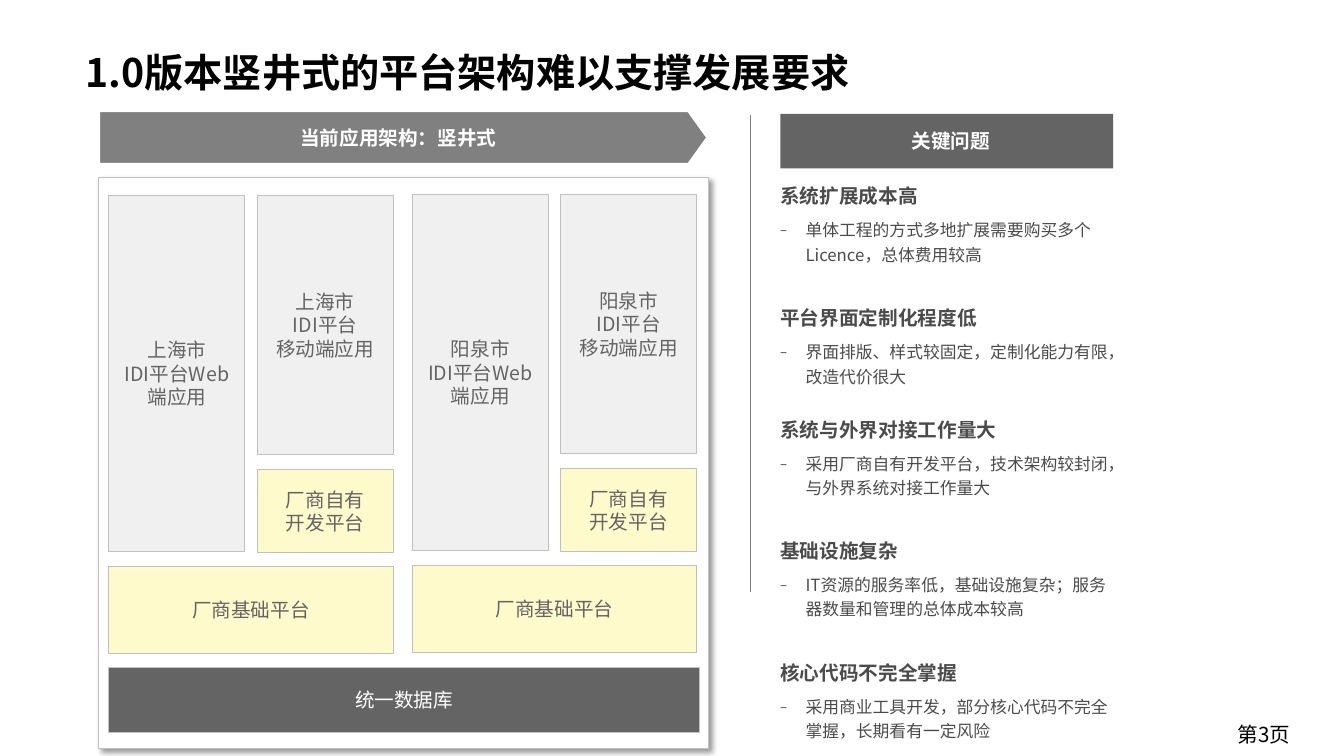
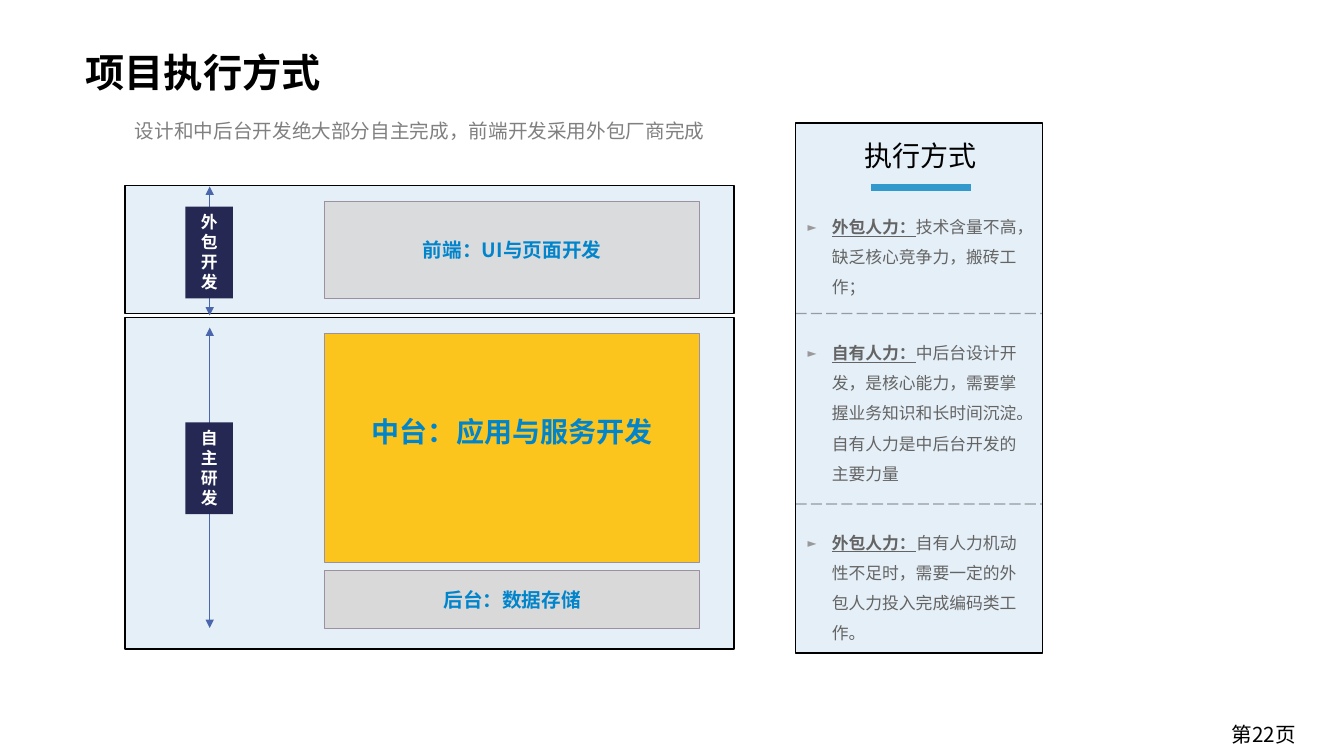
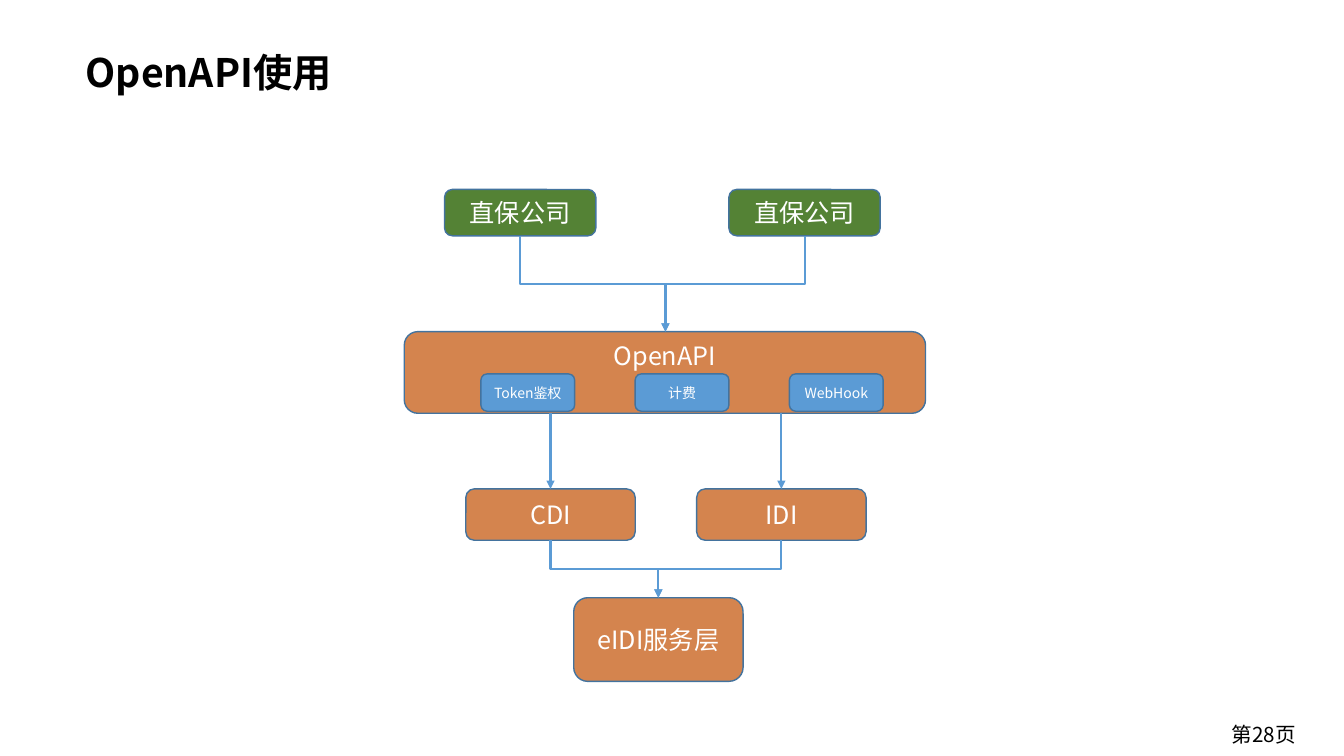
from lxml import etree
from pptx import Presentation
from pptx.dml.color import RGBColor
from pptx.enum.dml import MSO_LINE
from pptx.enum.shapes import MSO_CONNECTOR, MSO_SHAPE
from pptx.enum.text import MSO_ANCHOR, MSO_AUTO_SIZE, PP_ALIGN
from pptx.oxml.ns import qn
from pptx.util import Inches, Pt

RECT, ROUNDED = MSO_SHAPE.RECTANGLE, MSO_SHAPE.ROUNDED_RECTANGLE
PENTAGON, CHEVRON = MSO_SHAPE.PENTAGON, MSO_SHAPE.CHEVRON
STRAIGHT, ELBOW = MSO_CONNECTOR.STRAIGHT, MSO_CONNECTOR.ELBOW
LEFT, CENTER = PP_ALIGN.LEFT, PP_ALIGN.CENTER
TOP, MIDDLE = MSO_ANCHOR.TOP, MSO_ANCHOR.MIDDLE

FONT = "Noto Sans CJK SC"
INSETS = (0.1, 0.05, 0.1, 0.05)
LIST_INSETS = (0, 0.04, 0, 0)
COLORS = {
    "white": "FFFFFF", "black": "000000", "dark": "646464", "mid": "808080",
    "border": "C0C0C0", "pale": "F0F0F0", "yellow": "FFFACC", "ink": "4B4B4B",
    "dash": "323232", "marker": "999999", "panel": "629DD1", "gray": "D9D9D9",
    "amber": "FFC000", "mauve": "9D90A0", "blue": "0084CC", "navy": "242852",
    "arrow": "4A66AC", "accent": "3299CD", "green": "548235",
    "orange": "C55A11", "sky": "5B9BD5", "outline": "43739E",
}

# Silo architecture
CITIES = [("上海市", 1.08, 1.94), ("阳泉市", 4.09, 1.93)]
SILO_PARTS = [  # lines, offset in the silo, size, fill
    (["{city}", "IDI平台Web端应用"], (0, 0, 1.35, 3.53), "pale"),
    (["{city}", "IDI平台", "移动端应用"], (1.47, 0, 1.35, 2.57), "pale"),
    (["厂商自有", "开发平台"], (1.47, 2.72, 1.35, 0.82), "yellow"),
    (["厂商基础平台"], (0, 3.68, 2.82, 0.86), "yellow"),
]
ISSUES = [
    (1.74, "系统扩展成本高", "单体工程的方式多地扩展需要购买多个Licence，总体费用较高"),
    (2.95, "平台界面定制化程度低", "界面排版、样式较固定，定制化能力有限，改造代价很大"),
    (4.06, "系统与外界对接工作量大", "采用厂商自有开发平台，技术架构较封闭，与外界系统对接工作量大"),
    (5.26, "基础设施复杂", "IT资源的服务率低，基础设施复杂；服务器数量和管理的总体成本较高"),
    (6.47, "核心代码不完全掌握", "采用商业工具开发，部分核心代码不完全掌握，长期看有一定风险"),
]

# Ways of working
PANELS = [(7.89, 1.22, 2.45, 5.26), (1.24, 1.84, 6.04, 1.27), (1.24, 3.15, 6.04, 3.29)]
LAYERS = [  # text, top, height, fill, opacity, size, bottom inset
    ("前端：UI与页面开发", 2, 0.96, "gray", 88, 14, 0.05),
    ("中台：应用与服务开发", 3.31, 2.27, "amber", 88, 20, 0.38),
    ("后台：数据存储", 5.66, 0.58, "gray", 100, 14, 0.05),
]
SPANS = [("外包开发", 1.85, 3.13, 2.05), ("自主研发", 3.25, 6.23, 4.19)]
STAFFING = [
    (2.01, 0.95, "外包人力：", "技术含量不高，缺乏核心竞争力，搬砖工作；"),
    (3.26, 1.52, "自有人力：",
     "中后台设计开发，是核心能力，需要掌握业务知识和长时间沉淀。自有人力是中后台开发的主要力量"),
    (5.14, 1.22, "外包人力：", "自有人力机动性不足时，需要一定的外包人力投入完成编码类工作。"),
]

# OpenAPI flow
NODES = [  # text, place, fill, opacity, size, anchor
    ("直保公司", (4.41, 1.88, 1.5, 0.46), "green", 100, 18, MIDDLE),
    ("直保公司", (7.23, 1.88, 1.5, 0.46), "green", 100, 18, MIDDLE),
    ("OpenAPI", (4.01, 3.29, 5.17, 0.81), "orange", 74, 18, TOP),
    ("Token鉴权", (4.77, 3.71, 0.93, 0.37), "sky", 100, 10, MIDDLE),
    ("计费", (6.3, 3.71, 0.93, 0.37), "sky", 100, 10, MIDDLE),
    ("WebHook", (7.83, 3.71, 0.93, 0.37), "sky", 100, 10, MIDDLE),
    ("CDI", (4.62, 4.85, 1.68, 0.51), "orange", 74, 18, MIDDLE),
    ("IDI", (6.91, 4.85, 1.68, 0.51), "orange", 74, 18, MIDDLE),
    ("eIDI服务层", (5.69, 5.93, 1.68, 0.83), "orange", 74, 18, MIDDLE),
]
FLOWS = [
    (5.16, 2.34, 6.6, 3.29), (7.98, 2.34, 6.6, 3.29),
    (5.46, 4.1, 5.46, 4.85), (7.75, 4.1, 7.75, 4.85),
    (5.46, 5.36, 6.53, 5.93), (7.75, 5.36, 6.53, 5.93),
]


def rgb(name):
    return RGBColor.from_string(COLORS[name])


def set_opacity(parent, percent):
    if percent < 100:
        color = parent.find(".//" + qn("a:srgbClr"))
        etree.SubElement(color, qn("a:alpha")).set("val", str(percent * 1000))


def style_run(run, size, color, bold=False, underline=False, font=FONT):
    run.font.size, run.font.bold, run.font.underline = Pt(size), bold, underline
    run.font.color.rgb = rgb(color)
    run.font.name = font
    latin = run.font._element.find(qn("a:latin"))
    east_asian = etree.Element(qn("a:ea"))
    east_asian.set("typeface", FONT)
    latin.addnext(east_asian)
    run.font._element.set("lang", "zh-CN")


def set_frame(frame, insets=INSETS, anchor=MIDDLE, wrap=True):
    frame.auto_size = MSO_AUTO_SIZE.NONE
    frame.word_wrap = wrap
    frame.vertical_anchor = anchor
    (frame.margin_left, frame.margin_top,
     frame.margin_right, frame.margin_bottom) = map(Inches, insets)


def write(frame, lines, size, color, bold=False, align=CENTER, spacing=None, font=FONT):
    frame.text = "\n".join(lines)
    for para in frame.paragraphs:
        para.alignment = align
        if spacing:
            para.line_spacing = spacing
        for run in para.runs:
            style_run(run, size, color, bold, font=font)


def add_box(page, place, fill, line=None, width=0.75, kind=RECT, opacity=100):
    box = page.shapes.add_shape(kind, *map(Inches, place))
    box.shadow.inherit = False
    box.fill.solid()
    box.fill.fore_color.rgb = rgb(fill)
    set_opacity(box.fill._xPr.find(qn("a:solidFill")), opacity)
    if line:
        box.line.color.rgb = rgb(line)
        box.line.width = Pt(width)
    else:
        box.line.fill.background()
    return box


def add_text(page, place, insets=INSETS, anchor=TOP, wrap=True):
    frame = page.shapes.add_textbox(*map(Inches, place)).text_frame
    set_frame(frame, insets, anchor, wrap)
    return frame


def add_line(page, ends, color, width, kind=STRAIGHT, arrows=(), opacity=100):
    """Draw a connector; arrows names the ends (headEnd, tailEnd) with a triangle."""
    line = page.shapes.add_connector(kind, *map(Inches, ends))
    etree.SubElement(line._element.spPr, qn("a:effectLst"))
    line.line.color.rgb = rgb(color)
    line.line.width = Pt(width)
    stroke = line._element.spPr.find(qn("a:ln"))
    set_opacity(stroke, opacity)
    for end in arrows:
        etree.SubElement(stroke, qn("a:" + end)).set("type", "triangle")
    return line


def add_flow(page, x1, y1, x2, y2):
    """Arrow that leaves downwards, turns halfway and arrives from above."""
    if x1 == x2:
        add_line(page, (x1, y1, x2, y2), "sky", 1.5, arrows=["tailEnd"])
        return
    middle_x, middle_y = (x1 + x2) / 2, (y1 + y2) / 2
    side = 1 if x2 > x1 else -1
    half_drop, half_run = side * (y2 - y1) / 2, abs(x2 - x1) / 2
    ends = (middle_x + half_drop, middle_y - half_run,
            middle_x - half_drop, middle_y + half_run)
    line = add_line(page, ends, "sky", 1.5, ELBOW, ["tailEnd"])
    turn = 270 if side > 0 else 90
    line._element.spPr.find(qn("a:xfrm")).set("rot", str(turn * 60000))


def add_bullet(para, mark, color, indent):
    properties = para._p.get_or_add_pPr()
    properties.set("marL", str(Inches(indent)))
    properties.set("indent", str(-Inches(indent)))
    tint = etree.SubElement(properties, qn("a:buClr"))
    etree.SubElement(tint, qn("a:srgbClr")).set("val", COLORS[color])
    etree.SubElement(properties, qn("a:buSzPct")).set("val", "70000")
    etree.SubElement(properties, qn("a:buFont")).set("typeface", FONT)
    etree.SubElement(properties, qn("a:buChar")).set("char", mark)


def add_drop_shadow(box):
    effects = box._element.spPr.find(qn("a:effectLst"))
    shadow = etree.SubElement(effects, qn("a:outerShdw"))
    for key, value in (("blurRad", Pt(4)), ("dist", Pt(3)), ("dir", 45 * 60000)):
        shadow.set(key, str(value))
    etree.SubElement(shadow, qn("a:srgbClr")).set("val", COLORS["black"])
    set_opacity(shadow, 40)


def add_page(deck, title, number):
    page = deck.slides.add_slide(deck.slide_layouts[5])
    heading = page.shapes.title
    heading.left, heading.top, heading.width, heading.height = map(
        Inches, (0.75, 0.4, 11.93, 0.54))
    set_frame(heading.text_frame)
    write(heading.text_frame, [title], 28, "black", True, LEFT, 1.2)
    footer = add_text(page, (11.74, 7.06, 1.59, 0.44), (0.1, 0.03, 0.1, 0.03), MIDDLE)
    write(footer, [f"第{number}页"], 14.7, "black")
    return page


def build_architecture(deck):
    page = add_page(deck, "1.0版本竖井式的平台架构难以支撑发展要求", 3)
    add_drop_shadow(add_box(page, (0.98, 1.76, 6.05, 5.67), "white", "border"))

    banner = add_box(page, (0.98, 1.1, 6.04, 0.53), "mid", "white", 2, PENTAGON)
    banner.adjustments[0] = 0.36
    set_frame(banner.text_frame, wrap=False)
    write(banner.text_frame, ["当前应用架构：竖井式"], 14, "white", True)

    for city, left, top in CITIES:
        for lines, (x, y, width, height), fill in SILO_PARTS:
            box = add_box(page, (left + x, top + y, width, height), fill, "border")
            set_frame(box.text_frame, wrap=fill == "pale")
            write(box.text_frame, [line.format(city=city) for line in lines], 14, "dark")

    database = add_box(page, (1.08, 6.62, 5.86, 0.65), "dark", "border")
    set_frame(database.text_frame)
    write(database.text_frame, ["统一数据库"], 14, "white")

    header = add_box(page, (7.74, 1.13, 3.3, 0.54), "dark", kind=CHEVRON)
    header.adjustments[0] = 0
    set_frame(header.text_frame, (0.08, 0, 0, 0))
    write(header.text_frame, ["关键问题"], 14, "white", True)
    add_line(page, (7.44, 1.14, 7.44, 5.87), "mid", 0.75)

    for top, issue, detail in ISSUES:
        frame = add_text(page, (7.74, top, 3.3, 0.89), LIST_INSETS)
        frame.text = f"{issue}\n{detail}"
        name, bullet = frame.paragraphs
        add_bullet(bullet, "−", "dash", 0.25)
        for para in (name, bullet):
            para.line_spacing, para.space_after = 1.2, Pt(6)
        style_run(name.runs[0], 14, "ink", True)
        style_run(bullet.runs[0], 12, "ink")


def build_execution(deck):
    page = add_page(deck, "项目执行方式", 22)
    for place in PANELS:
        add_box(page, place, "panel", "black", 1, opacity=16)

    for text, top, height, fill, opacity, size, bottom in LAYERS:
        box = add_box(page, (3.22, top, 3.72, height), fill, "mauve", opacity=opacity)
        set_frame(box.text_frame, (0.04, 0.05, 0.04, bottom))
        write(box.text_frame, [text], size, "blue", True)

    for text, start, end, top in SPANS:
        add_line(page, (2.08, start, 2.08, end), "arrow", 0.75,
                 arrows=["headEnd", "tailEnd"])
        label = add_box(page, (1.84, top, 0.47, 0.91), "navy")
        set_frame(label.text_frame, anchor=TOP)
        write(label.text_frame, [text], 12, "white", True)

    summary = add_text(page, (1.24, 1.01, 6.56, 0.94))
    write(summary, ["设计和中后台开发绝大部分自主完成，前端开发采用外包厂商完成"],
          14, "mid", align=LEFT, spacing=1.5, font="Arial")
    summary.margin_left = Inches(0.1)

    heading = add_text(page, (8.63, 1.31, 1, 0.47), (0.08, 0.02, 0.08, 0.02), MIDDLE, False)
    write(heading, ["执行方式"], 20, "black")
    add_line(page, (8.64, 1.86, 9.63, 1.86), "accent", 4.5)

    for y in (3.11, 5):
        divider = add_line(page, (7.89, y, 10.34, y), "black", 1, opacity=35)
        divider.line.dash_style = MSO_LINE.LONG_DASH

    for top, height, term, detail in STAFFING:
        para = add_text(page, (8.01, top, 2.15, height), LIST_INSETS).paragraphs[0]
        add_bullet(para, "►", "marker", 0.24)
        para.line_spacing = 1.5
        for text, strong in ((term, True), (detail, False)):
            run = para.add_run()
            run.text = text
            style_run(run, 12, "dark", strong, strong)


def build_openapi(deck):
    page = add_page(deck, "OpenAPI使用", 28)
    for text, place, fill, opacity, size, anchor in NODES:
        box = add_box(page, place, fill, "outline", 1, ROUNDED, opacity)
        set_frame(box.text_frame, anchor=anchor)
        write(box.text_frame, [text], size, "white")
    for flow in FLOWS:
        add_flow(page, *flow)


def main():
    deck = Presentation()
    deck.slide_width, deck.slide_height = Inches(13.33), Inches(7.5)
    build_architecture(deck)
    build_execution(deck)
    build_openapi(deck)
    deck.save("out.pptx")


if __name__ == "__main__":
    main()
